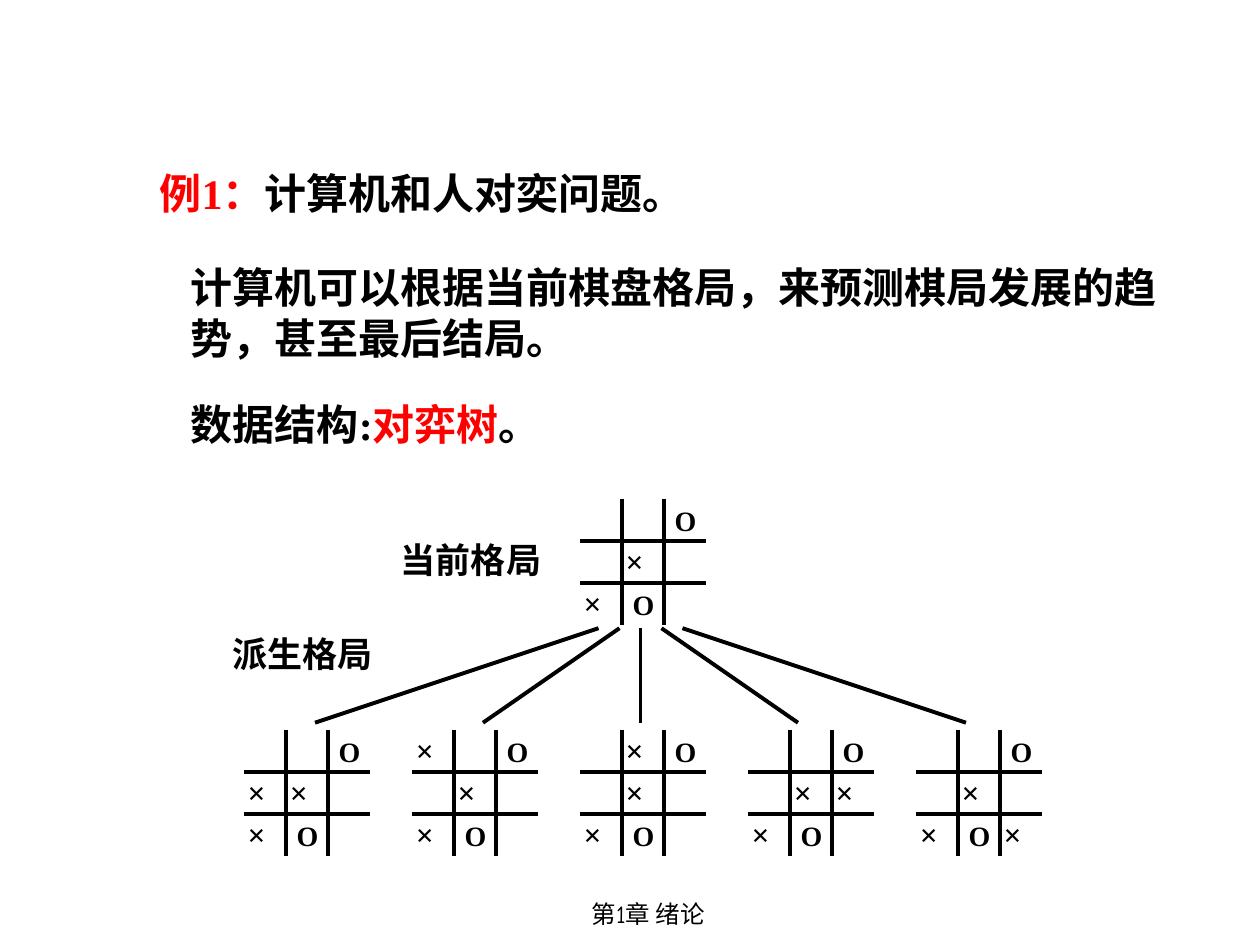
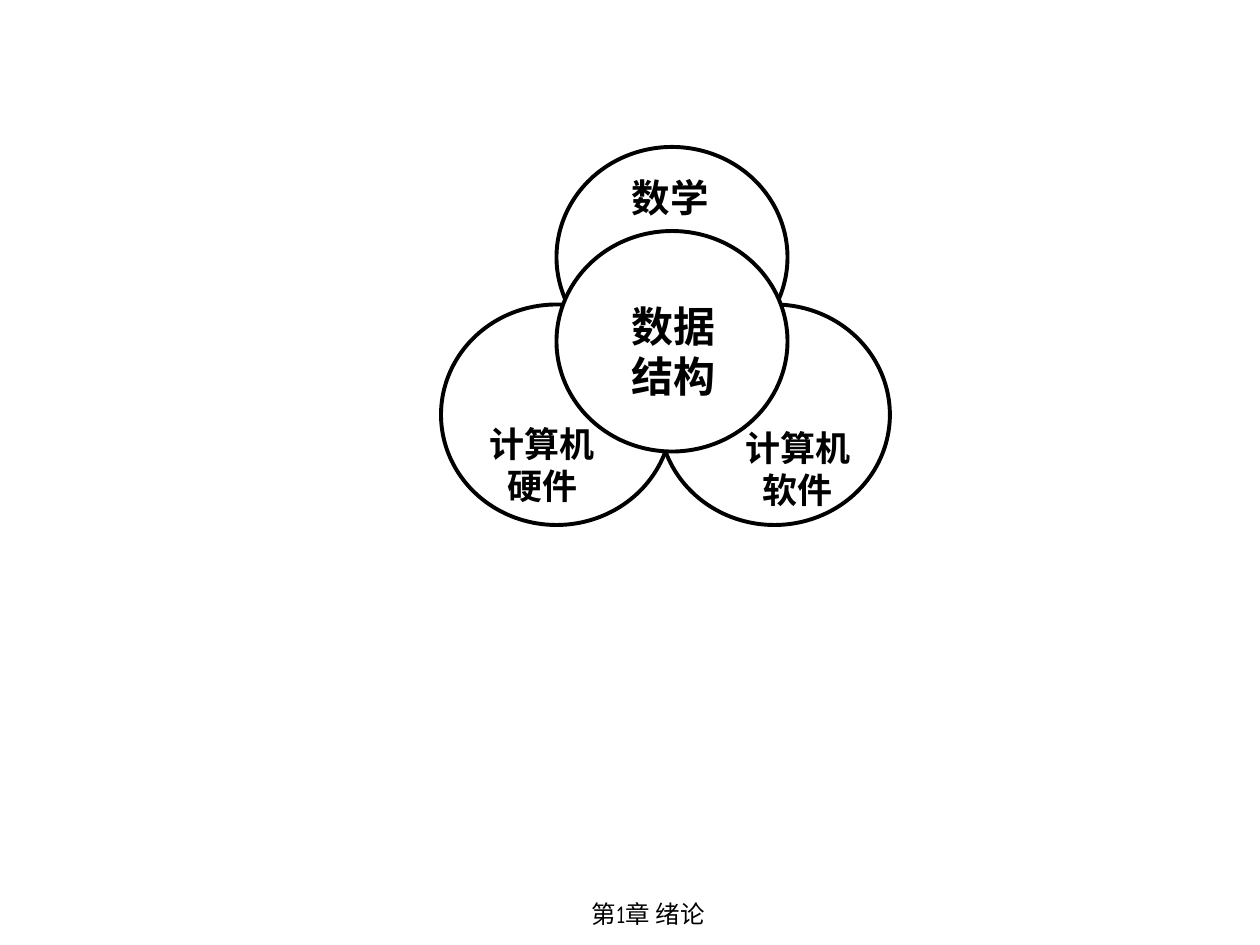
from lxml.etree import SubElement
from pptx import Presentation
from pptx.dml.color import RGBColor
from pptx.enum.shapes import MSO_CONNECTOR, MSO_SHAPE
from pptx.enum.text import MSO_ANCHOR, MSO_AUTO_SIZE, PP_ALIGN
from pptx.oxml.ns import qn
from pptx.util import Pt

BLACK, RED, WHITE = "000000", "FF0000", "FFFFFF"
BODY_FONT, FOOTER_FONT = "Times New Roman", "Comic Neue"
LINE_WIDTH = 2.25
TITLE_ONLY, BLANK = 5, 6

CELL = 24
BOARD_SIZE = 3 * CELL
BOARD_STEP = 96
BOARDS_LEFT, BOARDS_TOP = 139.5, 417
ROOT_LEFT, ROOT_TOP = BOARDS_LEFT + 2 * BOARD_STEP, 285
# Offset from the cell corner and font size of each mark
MARK_FORMATS = {"O": (-1, -0.7, 16), "×": (-5, -3, 18)}
CURRENT_MARKS = [("O", 2, 0), ("×", 1, 1), ("×", 0, 2), ("O", 1, 2)]
# Cell (column, row) of the move that each derived board adds
NEXT_MOVES = [(0, 1), (0, 0), (1, 0), (2, 1), (2, 2)]
BRANCH_ENDS = [180, 276, 366, 456, 552]

CIRCLE_WIDTH, CIRCLE_HEIGHT = 132, 126


def color(hex_string):
    return RGBColor.from_string(hex_string)


def write_text(frame, text, size=24, font=BODY_FONT, bold=True,
               align=PP_ALIGN.LEFT):
    """Fill a frame with a string or a list of (text, colour) pairs."""
    frame.word_wrap = True
    frame.vertical_anchor = MSO_ANCHOR.TOP
    paragraph = frame.paragraphs[0]
    paragraph.alignment = align
    runs = [(text, BLACK)] if isinstance(text, str) else text
    for run_text, run_color in runs:
        run = paragraph.add_run()
        run.text = run_text
        run.font.size = Pt(size)
        run.font.name = font
        run.font.bold = bold
        run.font.color.rgb = color(run_color)


def add_text(shapes, text, box, grow=True, **text_format):
    frame = shapes.add_textbox(*map(Pt, box)).text_frame
    write_text(frame, text, **text_format)
    frame.auto_size = (MSO_AUTO_SIZE.SHAPE_TO_FIT_TEXT if grow
                       else MSO_AUTO_SIZE.NONE)


def add_line(shapes, *ends):
    line = shapes.add_connector(MSO_CONNECTOR.STRAIGHT, *map(Pt, ends))
    line.line.color.rgb = color(BLACK)
    line.line.width = Pt(LINE_WIDTH)
    SubElement(line._element.spPr, qn("a:effectLst"))


def add_slide(presentation, layout):
    """Add a white slide with the chapter footer."""
    slide = presentation.slides.add_slide(presentation.slide_layouts[layout])
    slide.background.fill.solid()
    slide.background.fill.fore_color.rgb = color(WHITE)
    add_text(slide.shapes, "第1章 绪论", (256.5, 510, 228, 36), grow=False,
             size=14, font=FOOTER_FONT, bold=False, align=PP_ALIGN.CENTER)
    return slide


def add_board(shapes, left, top, marks):
    for step in (CELL, 2 * CELL):
        add_line(shapes, left, top + step, left + BOARD_SIZE, top + step)
        add_line(shapes, left + step, top, left + step, top + BOARD_SIZE)
    for mark, column, row in marks:
        shift_x, shift_y, size = MARK_FORMATS[mark]
        box = (left + column * CELL + shift_x, top + row * CELL + shift_y,
               30, 28)
        add_text(shapes, mark, box, size=size)


def add_game_tree(slide):
    root = slide.shapes.add_group_shape().shapes
    add_board(root, ROOT_LEFT, ROOT_TOP, CURRENT_MARKS)
    add_text(root, "当前格局", (222, 304, 102, 32), size=20)
    add_text(slide.shapes, "派生格局", (126, 358, 102, 32), size=20)
    for index, (move, branch_end) in enumerate(zip(NEXT_MOVES, BRANCH_ENDS)):
        child = slide.shapes.add_group_shape().shapes
        add_board(child, BOARDS_LEFT + index * BOARD_STEP, BOARDS_TOP,
                  CURRENT_MARKS + [("×", *move)])
        add_line(child, ROOT_LEFT + 10.5 + index * CELL / 2,
                 ROOT_TOP + BOARD_SIZE + 2, branch_end, BOARDS_TOP - 4)


def build_game_slide(presentation):
    slide = add_slide(presentation, TITLE_ONLY)
    title = slide.shapes.title
    title.left, title.top, title.width, title.height = map(
        Pt, (84, 92, 456, 36))
    write_text(title.text_frame, [("例1：", RED), ("计算机和人对奕问题。", BLACK)])
    add_text(slide.shapes, "计算机可以根据当前棋盘格局，来预测棋局发展的趋势，甚至最后结局。",
             (102, 146, 576, 65))
    add_text(slide.shapes,
             [("数据结构:", BLACK), ("对弈树", RED), ("。", BLACK)],
             (102, 224, 480, 36))
    add_game_tree(slide)


def add_circle(slide, left, top, fill=None):
    circle = slide.shapes.add_shape(
        MSO_SHAPE.OVAL, Pt(left), Pt(top), Pt(CIRCLE_WIDTH), Pt(CIRCLE_HEIGHT))
    circle.shadow.inherit = False
    circle.line.color.rgb = color(BLACK)
    circle.line.width = Pt(LINE_WIDTH)
    if fill:
        circle.fill.solid()
        circle.fill.fore_color.rgb = color(fill)
    else:
        circle.fill.background()


def add_fields_diagram(slide, left, top):
    """Three overlapping fields with data structures in the middle."""
    middle = left + CIRCLE_WIDTH / 2
    add_circle(slide, middle, top)
    add_circle(slide, left, top + 90)
    add_circle(slide, left + 124.5, top + 90)
    add_circle(slide, middle, top + 48, fill=WHITE)
    labels = [
        ("数学", (102, 12, 72, 34), 22, PP_ALIGN.LEFT),
        ("计算机硬件", (15, 154, 86, 56), 20, PP_ALIGN.CENTER),
        ("计算机软件", (162, 156, 84, 56), 20, PP_ALIGN.CENTER),
        ("数据结构", (102, 84, 84, 65), 24, PP_ALIGN.LEFT),
    ]
    for text, (x, y, width, height), size, align in labels:
        add_text(slide.shapes, text, (left + x, top + y, width, height),
                 size=size, align=align)


def main():
    presentation = Presentation()
    presentation.slide_width, presentation.slide_height = Pt(720), Pt(540)
    build_game_slide(presentation)
    add_fields_diagram(add_slide(presentation, BLANK), 252, 84)
    presentation.save("out.pptx")


if __name__ == "__main__":
    main()
